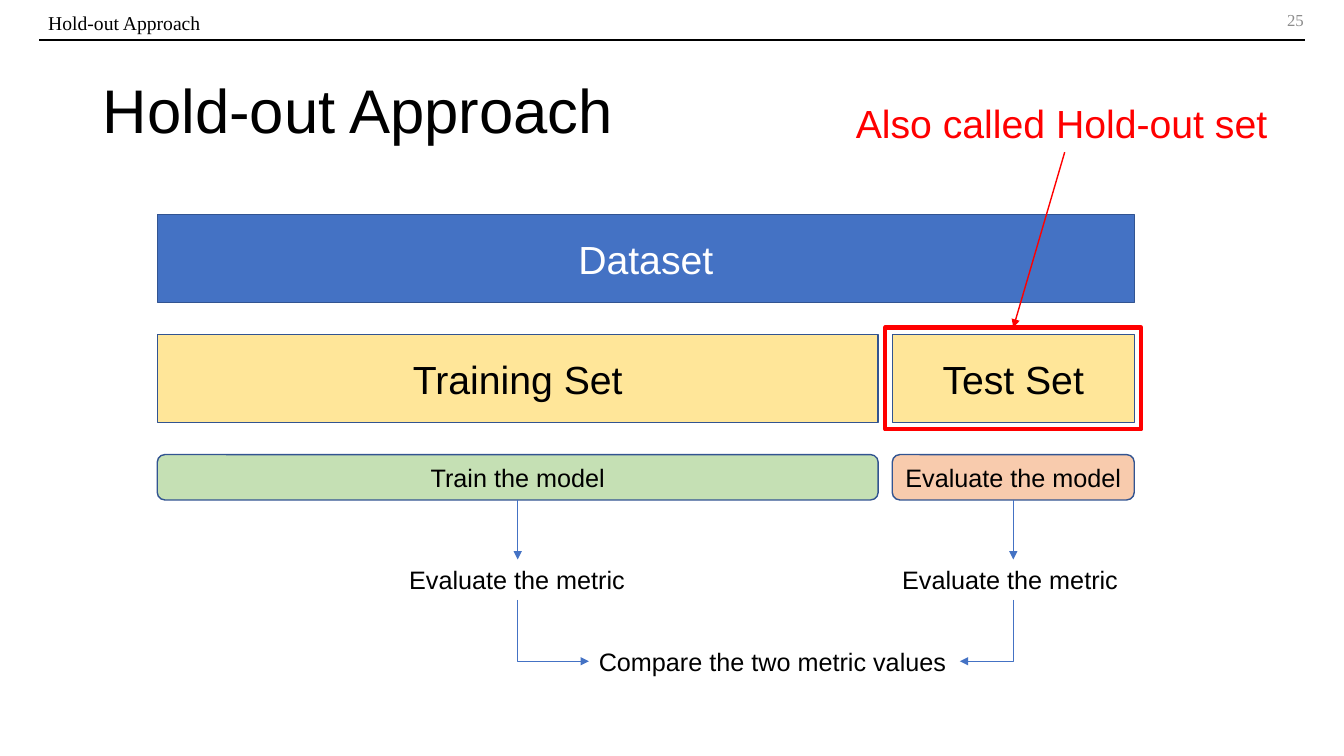
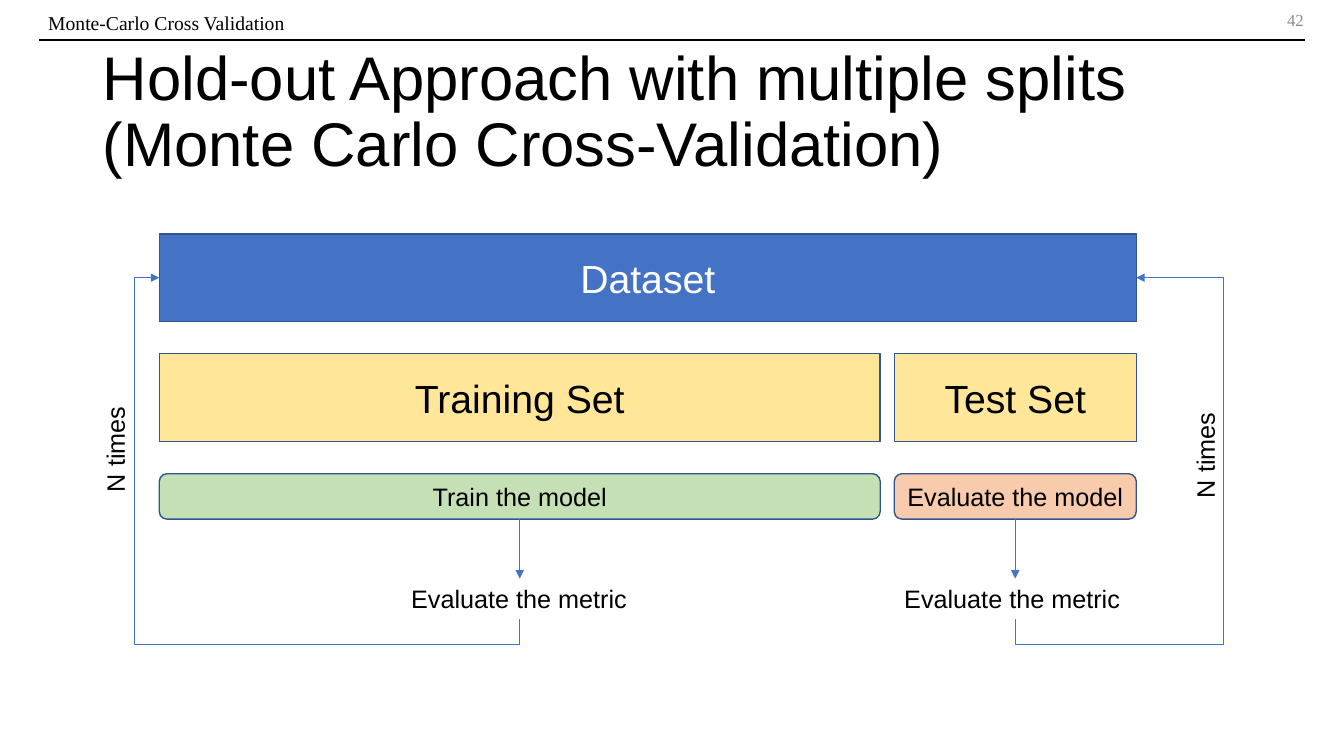
import pptx
import pptx.dml.color
import pptx.enum.shapes
import pptx.enum.text
import pptx.oxml
import pptx.oxml.ns
import pptx.util

Inches = pptx.util.Inches
Pt = pptx.util.Pt
RGBColor = pptx.dml.color.RGBColor
SHAPE = pptx.enum.shapes.MSO_SHAPE
ALIGN = pptx.enum.text.PP_ALIGN
ANCHOR = pptx.enum.text.MSO_ANCHOR
FIT = pptx.enum.text.MSO_AUTO_SIZE

# Colours
BLACK = RGBColor(0x00, 0x00, 0x00)
WHITE = RGBColor(0xFF, 0xFF, 0xFF)
GREY = RGBColor(0x8C, 0x8C, 0x8C)
RED = RGBColor(0xFF, 0x00, 0x00)
BLUE = RGBColor(0x44, 0x72, 0xC4)
BORDER = RGBColor(0x32, 0x54, 0x91)
YELLOW = RGBColor(0xFF, 0xE6, 0x99)
GREEN = RGBColor(0xC5, 0xE0, 0xB4)
ORANGE = RGBColor(0xF8, 0xCB, 0xAD)

# Text formats
SANS, SERIF = "Arial", "Times New Roman"
TITLE = {"name": SANS, "size": Pt(44)}
LARGE = {"name": SANS, "size": Pt(28)}
SMALL = {"name": SANS, "size": Pt(18)}
RUNNING_HEAD = {"name": SERIF, "size": Pt(14)}
PAGE_NUMBER = {"name": SERIF, "size": Pt(12)}

# Frame formats
MIDDLE = {"word_wrap": True, "vertical_anchor": ANCHOR.MIDDLE}
WRAPPED = {"word_wrap": True}
LABEL = {"word_wrap": False, "auto_size": FIT.SHAPE_TO_FIT_TEXT}

# Diagram grid, relative to its top left corner
TRAIN_W, TEST_W, GAP = 7.15, 2.4, 0.14
TEST_X = TRAIN_W + GAP
BLOCK_H, STEP_H, ROW_PITCH = 0.87, 0.45, 1.19
METRIC_Y, METRIC_W, LABEL_H = 3.42, 2.36, 0.4
TRAIN_MID, TEST_MID = TRAIN_W / 2, TEST_X + TEST_W / 2


def write(shape, text, font_format, frame_format, color=BLACK,
          align=ALIGN.LEFT, line_spacing=None):
    frame = shape.text_frame
    for attribute, value in frame_format.items():
        setattr(frame, attribute, value)
    paragraph = frame.paragraphs[0]
    paragraph.text = text
    paragraph.alignment = align
    paragraph.line_spacing = line_spacing
    for run in paragraph.runs:
        for attribute, value in font_format.items():
            setattr(run.font, attribute, value)
        run.font.color.rgb = color


def add_text(slide, box, text, font_format, frame_format, rotation=0, **style):
    label = slide.shapes.add_textbox(*map(Inches, box))
    label.rotation = rotation
    write(label, text, font_format, frame_format, **style)


def style_line(shape, color, width, arrow):
    shape.line.color.rgb = color
    shape.line.width = Pt(width)
    if arrow:
        outline = shape.element.spPr.find(pptx.oxml.ns.qn("a:ln"))
        outline.append(pptx.oxml.parse_xml(
            '<a:tailEnd %s type="triangle"/>' % pptx.oxml.ns.nsdecls("a")))


def add_line(slide, start, end, color=BLUE, width=0.5, arrow=True):
    line = slide.shapes.add_connector(
        pptx.enum.shapes.MSO_CONNECTOR.STRAIGHT, *map(Inches, start + end))
    style_line(line, color, width, arrow)
    line.element.spPr.append(pptx.oxml.parse_xml(
        "<a:effectLst %s/>" % pptx.oxml.ns.nsdecls("a")))


def add_bent_arrow(slide, *points):
    corners = [(Inches(x), Inches(y)) for x, y in points]
    builder = slide.shapes.build_freeform(*corners[0])
    builder.add_line_segments(corners[1:], close=False)
    arrow = builder.convert_to_shape()
    arrow.shadow.inherit = False
    arrow.fill.background()
    style_line(arrow, BLUE, 0.5, True)


def add_box(slide, box, fill=None, line=BORDER, width=1, kind=SHAPE.RECTANGLE):
    block = slide.shapes.add_shape(kind, *map(Inches, box))
    block.shadow.inherit = False
    if fill is None:
        block.fill.background()
    else:
        block.fill.solid()
        block.fill.fore_color.rgb = fill
    style_line(block, line, width, False)
    return block


def start_slide(deck, running_head, number, title):
    """Header rule, page number, running head and title of every slide."""
    slide = deck.slides.add_slide(deck.slide_layouts[6])
    add_line(slide, (0.39, 0.4), (12.94, 0.4), BLACK, 1.5, arrow=False)
    add_text(slide, (10.03, 0, 3, 0.4), number, PAGE_NUMBER, MIDDLE,
             color=GREY, align=ALIGN.RIGHT)
    add_text(slide, (0.38, 0.06, 4.26, 0.34), running_head, RUNNING_HEAD, WRAPPED)
    add_text(slide, (0.92, 0.4, 11.5, 1.45), title, TITLE, MIDDLE, line_spacing=0.9)
    return slide


def add_split_diagram(slide, left, top):
    """Dataset, its two parts, and the steps that follow from each part."""
    sets_y, steps_y = ROW_PITCH, 2 * ROW_PITCH
    blocks = [
        ("Dataset", 0, 0, TEST_X + TEST_W, BLUE, WHITE),
        ("Training Set", 0, sets_y, TRAIN_W, YELLOW, BLACK),
        ("Test Set", TEST_X, sets_y, TEST_W, YELLOW, BLACK),
        ("Train the model", 0, steps_y, TRAIN_W, GREEN, BLACK),
        ("Evaluate the model", TEST_X, steps_y, TEST_W, ORANGE, BLACK),
    ]
    for text, x, y, width, fill, color in blocks:
        is_step = y == steps_y
        block = add_box(
            slide, (left + x, top + y, width, STEP_H if is_step else BLOCK_H), fill,
            kind=SHAPE.ROUNDED_RECTANGLE if is_step else SHAPE.RECTANGLE)
        write(block, text, SMALL if is_step else LARGE, MIDDLE, color, ALIGN.CENTER)

    metric_top = top + METRIC_Y
    for x, middle in ((2.4, TRAIN_MID), (TEST_X, TEST_MID)):
        add_text(slide, (left + x, metric_top, METRIC_W, LABEL_H),
                 "Evaluate the metric", SMALL, LABEL)
        add_line(slide, (left + middle, top + steps_y + STEP_H),
                 (left + middle, metric_top))


def build_hold_out(deck):
    slide = start_slide(deck, "Hold-out Approach", "25", "Hold-out Approach")
    left, top = 1.56, 2.13
    add_split_diagram(slide, left, top)

    # Hold-out set highlight
    margin = 0.07
    highlight_top = top + ROW_PITCH - margin
    add_box(slide, (left + TEST_X - margin, highlight_top,
                    TEST_W + 2 * margin, BLOCK_H + 2 * margin), line=RED, width=3)
    add_text(slide, (8.39, 0.94, 4.33, 0.57), "Also called Hold-out set",
             LARGE, LABEL, color=RED)
    add_line(slide, (10.56, 1.51), (left + TEST_MID, highlight_top), RED, 1)

    # Comparison of both metrics
    compare_left, compare_w, compare_y = 5.84, 3.68, 6.56
    add_text(slide, (compare_left, compare_y - LABEL_H / 2, compare_w, LABEL_H),
             "Compare the two metric values", SMALL, LABEL)
    for middle, side in ((TRAIN_MID, compare_left), (TEST_MID, compare_left + compare_w)):
        x = left + middle
        add_bent_arrow(slide, (x, top + METRIC_Y + LABEL_H), (x, compare_y),
                       (side, compare_y))


def build_monte_carlo(deck):
    slide = start_slide(deck, "Monte-Carlo Cross Validation", "42",
                        "Hold-out Approach with multiple splits\n"
                        "(Monte Carlo Cross-Validation)")
    left, top = 1.58, 2.32
    add_split_diagram(slide, left, top)

    # Loops back to the dataset
    metric_bottom = top + METRIC_Y + LABEL_H
    loop_y, dataset_y = metric_bottom + 0.25, top + BLOCK_H / 2
    loops = [
        (TRAIN_MID, 1.33, left, 0.61, 4.25),
        (TEST_MID, 12.13, left + TEST_X + TEST_W, 11.42, 4.31),
    ]
    for middle, outer_x, dataset_x, label_x, label_y in loops:
        x = left + middle
        add_bent_arrow(slide, (x, metric_bottom), (x, loop_y), (outer_x, loop_y),
                       (outer_x, dataset_y), (dataset_x, dataset_y))
        add_text(slide, (label_x, label_y, 1.06, LABEL_H), "N times",
                 SMALL, LABEL, rotation=270)


def main():
    deck = pptx.Presentation()
    deck.slide_width, deck.slide_height = Inches(13.33), Inches(7.5)
    build_hold_out(deck)
    build_monte_carlo(deck)
    deck.save("out.pptx")


if __name__ == "__main__":
    main()
